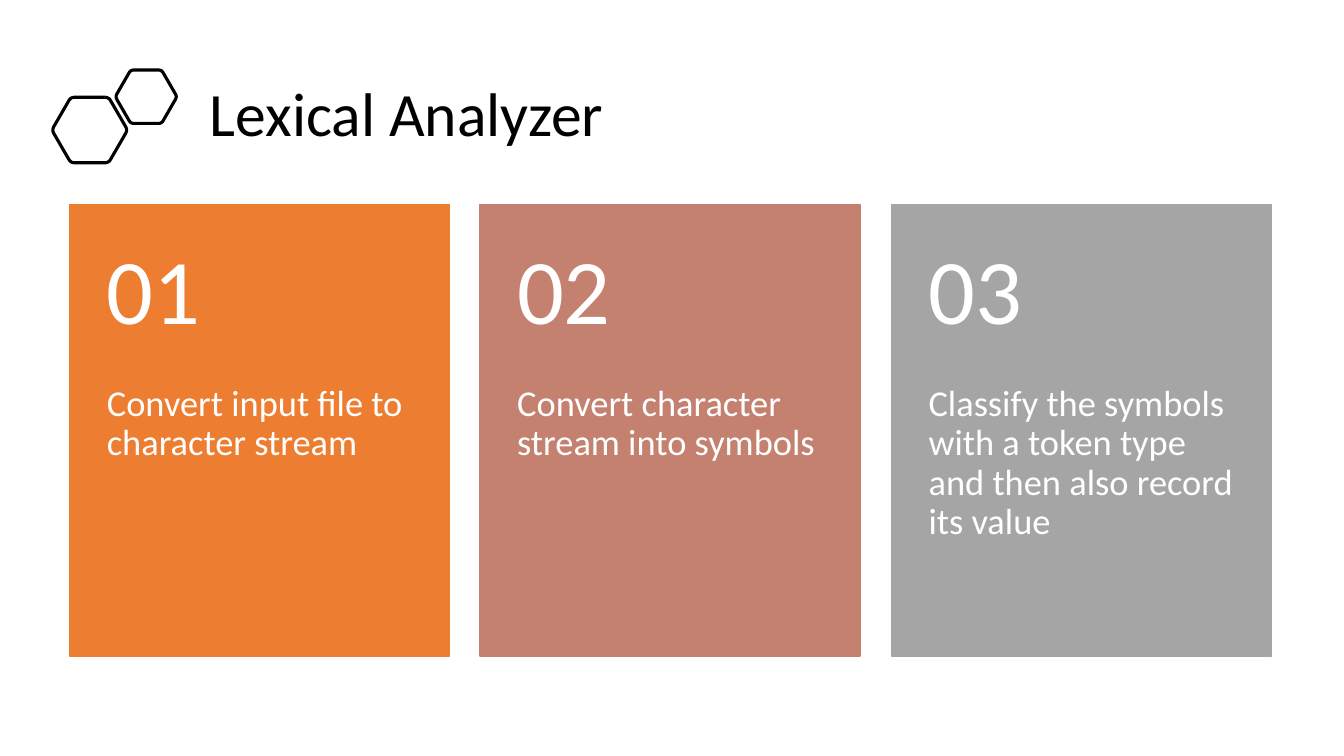
from math import cos, pi, sin, sqrt

from pptx import Presentation
from pptx.dml.color import RGBColor
from pptx.enum.shapes import MSO_SHAPE
from pptx.enum.text import MSO_ANCHOR, MSO_AUTO_SIZE, PP_ALIGN
from pptx.util import Emu, Pt

EMU_PER_PX = 9144  # 100 px to the inch


def px(length):
    return Emu(round(length * EMU_PER_PX))


def color(hex_string):
    return RGBColor.from_string(hex_string)


def assign(target, values):
    for name, value in values.items():
        setattr(target, name, value)


class SlideBuilder:
    FONT = "Calibri"
    INK = "000000"
    PAPER = "FFFFFF"

    def __init__(self, presentation):
        self.slide = presentation.slides.add_slide(presentation.slide_layouts[5])

    def place(self, shape, box):
        assign(shape, dict(zip(("left", "top", "width", "height"), map(px, box))))

    def fill_text(self, shape, text, size, hex_string, margins, anchor):
        frame = shape.text_frame
        frame.text = text
        sides = ("margin_left", "margin_top", "margin_right", "margin_bottom")
        assign(frame, dict(zip(sides, map(px, margins))))
        assign(frame, {"word_wrap": True, "auto_size": MSO_AUTO_SIZE.NONE,
                       "vertical_anchor": anchor})
        paragraph = frame.paragraphs[0]
        assign(paragraph, {"alignment": PP_ALIGN.LEFT, "line_spacing": 0.9})
        assign(paragraph.font, {"name": self.FONT, "size": Pt(size)})
        paragraph.font.color.rgb = color(hex_string)

    def title(self, text, box):
        shape = self.slide.shapes.title
        self.place(shape, box)
        self.fill_text(shape, text, 44, self.INK, (10, 5, 10, 5), MSO_ANCHOR.MIDDLE)

    def text(self, text, box, size, margins, anchor):
        shape = self.slide.shapes.add_textbox(*map(px, box))
        self.fill_text(shape, text, size, self.PAPER, margins, anchor)

    def rectangle(self, box, hex_string):
        shape = self.slide.shapes.add_shape(MSO_SHAPE.RECTANGLE, *map(px, box))
        shape.shadow.inherit = False
        shape.fill.solid()
        shape.fill.fore_color.rgb = color(hex_string)
        shape.line.color.rgb = color(hex_string)
        shape.line.width = Pt(1)

    def hexagon(self, center_x, center_y, height, rounding=0.1, steps=5):
        """Regular hexagon with each corner rounded by a quadratic curve."""
        side = height / sqrt(3)
        corners = [(center_x + side * cos(k * pi / 3), center_y + side * sin(k * pi / 3))
                   for k in range(6)]
        points = []
        for k, corner in enumerate(corners):
            before, after = corners[k - 1], corners[(k + 1) % 6]
            for step in range(steps + 1):
                t = step / steps
                pull_before, pull_after = rounding * (1 - t) ** 2, rounding * t ** 2
                points.append(tuple(
                    px(c + pull_before * (b - c) + pull_after * (a - c))
                    for b, c, a in zip(before, corner, after)))
        builder = self.slide.shapes.build_freeform(*points[0], scale=1.0)
        builder.add_line_segments(points[1:], close=True)
        shape = builder.convert_to_shape()
        shape.shadow.inherit = False
        shape.fill.background()
        shape.line.color.rgb = color(self.INK)
        shape.line.width = Pt(2.25)

    def panel(self, left, number, text, hex_string):
        top, width, height, number_height = 203, 377, 448, 179
        self.rectangle((left, top, width, height), hex_string)
        self.text(text, (left, top + number_height, width, height - number_height),
                  26, (37, 0, 37, 36), MSO_ANCHOR.TOP)
        self.text(f"{number:02}", (left, top, width, number_height),
                  66, (37, 18, 37, 18), MSO_ANCHOR.MIDDLE)


PANELS = [
    ("Convert input file to character stream", "ED7D31"),
    ("Convert character stream into symbols", "C48170"),
    ("Classify the symbols with a token type and then also record its value", "A5A5A5"),
]
FIRST_LEFT, LAST_LEFT = 69, 884


def main():
    presentation = Presentation()
    assign(presentation, {"slide_width": px(1333), "slide_height": px(750)})
    builder = SlideBuilder(presentation)

    # Heading with its two hexagons
    builder.title("Lexical Analyzer", (198, 57, 1081, 117))
    builder.hexagon(89, 129, 65)
    builder.hexagon(145, 96, 53)

    # Numbered panels, evenly spaced
    pitch = (LAST_LEFT - FIRST_LEFT) / (len(PANELS) - 1)
    for index, (text, hex_string) in enumerate(PANELS):
        builder.panel(round(FIRST_LEFT + index * pitch), index + 1, text, hex_string)

    presentation.save("out.pptx")


if __name__ == "__main__":
    main()
